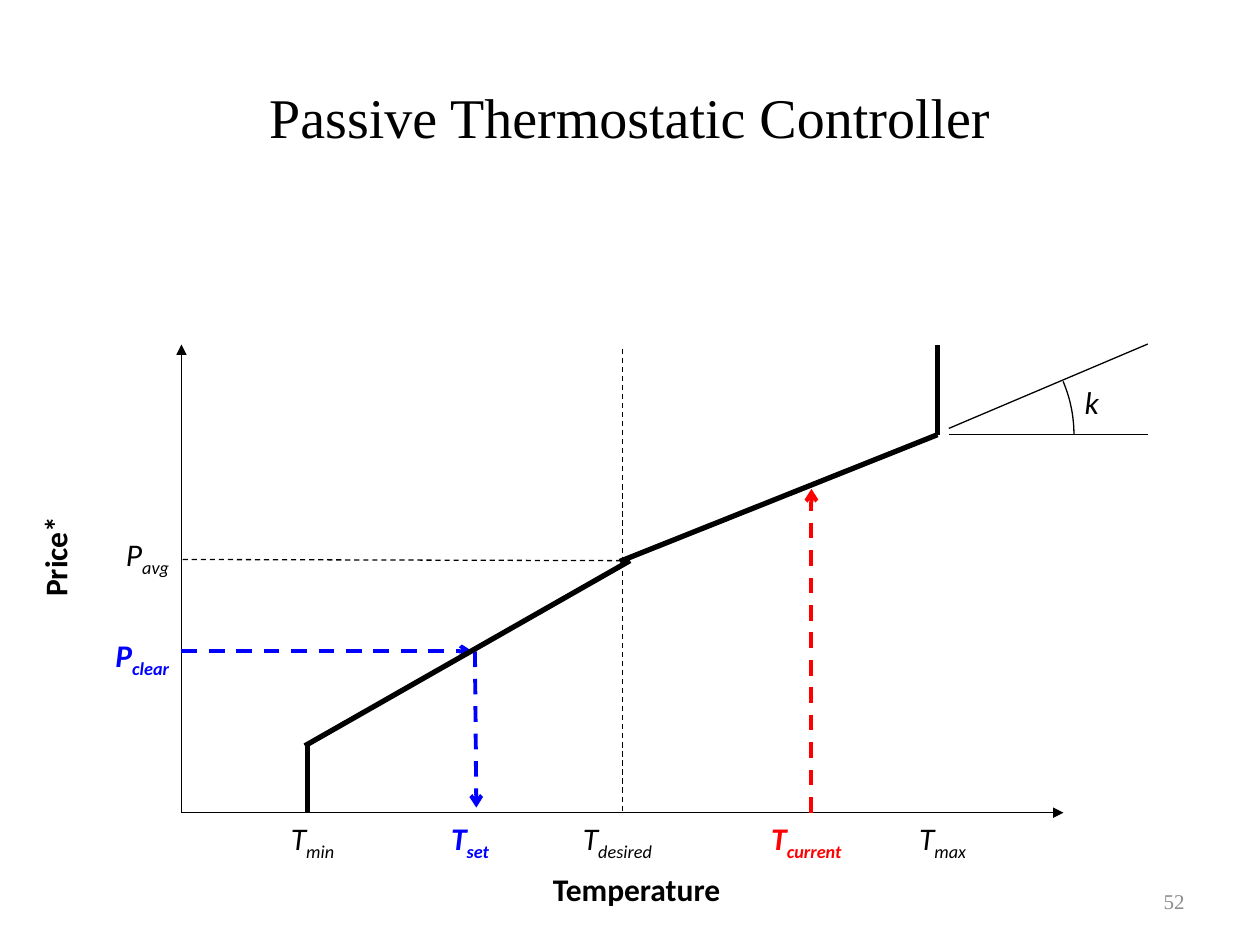
import math
import pptx
import pptx.util
import pptx.dml.color
import pptx.enum.dml
import pptx.enum.text
import pptx.oxml
import pptx.oxml.ns

Pt = pptx.util.Pt
RGB = pptx.dml.color.RGBColor
ALIGN = pptx.enum.text.PP_ALIGN
BLACK = RGB(0x00, 0x00, 0x00)
BLUE = RGB(0x00, 0x00, 0xFF)
RED = RGB(0xFF, 0x00, 0x00)
GREY = RGB(0x8C, 0x8C, 0x8C)
SANS = "Calibri"
SERIF = "Times New Roman"

deck = pptx.Presentation()
deck.slide_width, deck.slide_height = Pt(720), Pt(540)
slide = deck.slides.add_slide(deck.slide_layouts[6])
shapes = slide.shapes


def draw(x1, y1, x2, y2, width=0.75, color=BLACK, dash=False, head=None):
    line = shapes.add_connector(1, Pt(x1), Pt(y1), Pt(x2), Pt(y2))
    line.line.width = Pt(width)
    line.line.color.rgb = color
    if dash:
        line.line.dash_style = pptx.enum.dml.MSO_LINE.DASH
    props = line._element.spPr
    if head:
        tail = pptx.oxml.parse_xml(
            f'<a:tailEnd {pptx.oxml.ns.nsdecls("a")} type="{head}"/>')
        props.get_or_add_ln().append(tail)
    props.append(pptx.oxml.parse_xml(
        f'<a:effectLst {pptx.oxml.ns.nsdecls("a")}/>'))


def write(x, y, w, h, text, sub="", size=18, font=SANS, color=BLACK,
          bold=False, slant=False, align=ALIGN.CENTER, wrap=True, mid=False):
    box = shapes.add_textbox(Pt(x), Pt(y), Pt(w), Pt(h))
    frame = box.text_frame
    frame.word_wrap = wrap
    if mid:
        frame.vertical_anchor = pptx.enum.text.MSO_ANCHOR.MIDDLE
    else:
        frame.auto_size = pptx.enum.text.MSO_AUTO_SIZE.SHAPE_TO_FIT_TEXT
    para = frame.paragraphs[0]
    para.alignment = align
    for part in filter(None, (text, sub)):
        run = para.add_run()
        run.text = part
        run.font.name, run.font.size = font, Pt(size)
        run.font.bold, run.font.italic = bold, slant
        run.font.color.rgb = color
        if part == sub:
            run.font._element.set("baseline", "-25000")
    return box


# Key points of the chart
left, base, top = 103.7, 464.4, 196.9
low, want, high = 175.7, 355.7, 535.7
floor, mean, peak = 426.2, 320.8, 248.4
clear = 372.2

# Angle mark for the slope k
arc = [(high + 78 * math.cos(math.radians(a)),
        peak - 78 * math.sin(math.radians(a))) for a in range(0, 24)]
pen = shapes.build_freeform(Pt(arc[0][0]), Pt(arc[0][1]))
pen.add_line_segments([(Pt(x), Pt(y)) for x, y in arc[1:]], close=False)
mark = pen.convert_to_shape()
mark.shadow.inherit = False
mark.fill.background()
mark.line.color.rgb = BLACK
mark.line.width = Pt(0.75)
draw(542.2, 244.8, 655.9, 196.6)
draw(542.2, peak, 655.9, peak)
write(612.7, 215.3, 23.8, 28.8, "k", slant=True, align=ALIGN.LEFT, wrap=False)

# Axes and their names
draw(left, base, 607.7, base, head="triangle")
draw(left, base, left, top, head="triangle")
write(308.9, 493.9, 123.8, 28.8, "Temperature", bold=True,
      align=ALIGN.LEFT, wrap=False)
price = write(-1.4, 301, 65.5, 28.8, "Price*", bold=True,
              align=ALIGN.LEFT, wrap=False)
price.rotation = 270

# Guides through the desired point
draw(want, 326.2, want, base, dash=True)
draw(want, 199.4, want, mean, dash=True)
draw(355, 320.4, 104.4, 319.7, dash=True)

# Current and set temperature arrows
draw(463.7, base, 463.7, 279.4, 2.25, RED, True, "arrow")
draw(left, clear, 270, clear, 2.25, BLUE, True, "arrow")
draw(271.4, clear, 272.2, 461.5, 2.25, BLUE, True, "arrow")

# Response curve
for ends in ((low, base, low, floor), (174.2, floor, 360, 320.4),
             (354.2, mean, high, peak), (high, peak, high, top)):
    draw(*ends, width=3)

# Labels below the temperature axis
for x, sub, color in ((139.7, "min", BLACK), (229.7, "set", BLUE),
                      (313.9, "desired", BLACK), (421.9, "current", RED),
                      (499.7, "max", BLACK)):
    write(x, base, 77.8, 28.8, "T", sub, color=color,
          bold=color != BLACK, slant=True)

# Labels beside the price axis
for y, sub, color in ((302.4, "avg", BLACK), (360, "clear", BLUE)):
    write(25.9, y, 77.8, 28.8, "P", sub, color=color,
          bold=color != BLACK, slant=True, align=ALIGN.RIGHT)

# Title and page number
write(36, 21.6, 648, 90, "Passive Thermostatic Controller", size=32,
      font=SERIF, mid=True)
write(516.2, 500.4, 167.8, 28.8, "52", size=12, font=SERIF, color=GREY,
      align=ALIGN.RIGHT, mid=True)

deck.save("out.pptx")
